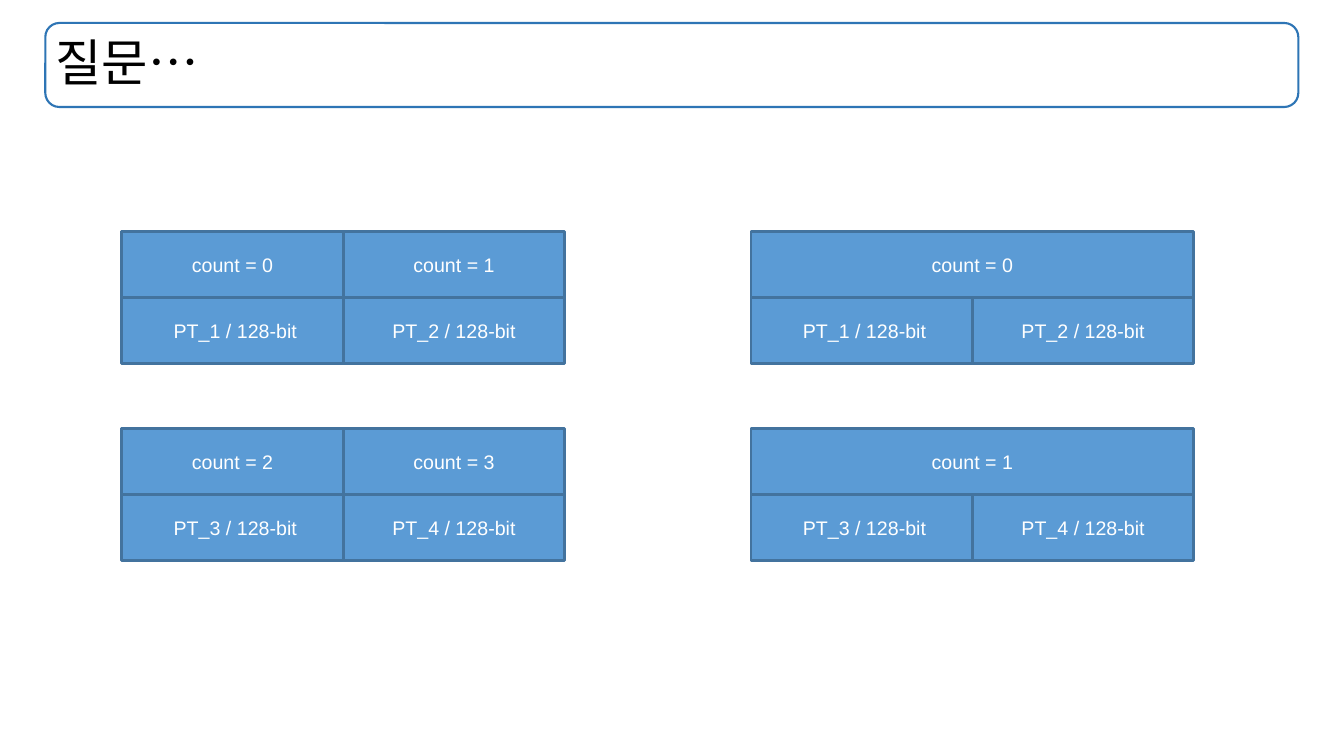
import pptx
import pptx.util
import pptx.dml.color
import pptx.enum.shapes
import pptx.enum.text

Pt = pptx.util.Pt
Shape = pptx.enum.shapes.MSO_SHAPE
Align = pptx.enum.text.PP_ALIGN

COLORS = {
    "title_line": "2E75B5",
    "title_text": "000000",
    "cell_fill": "5B9BD5",
    "cell_line": "43739E",
    "cell_text": "FFFFFF",
}
FONT = "Arial"
BLOCK_WIDTH, BLOCK_HEIGHT = 316.4, 94.4
BLOCK_LEFTS = (87, 536.4)
BLOCK_TOPS = (165.4, 306)


def rgb(name):
    return pptx.dml.color.RGBColor.from_string(COLORS[name])


def add_box(slide, kind, left, top, width, height, line, line_width, fill=None):
    shape = slide.shapes.add_shape(kind, Pt(left), Pt(top), Pt(width), Pt(height))
    shape.shadow.inherit = False
    if fill:
        shape.fill.solid()
        shape.fill.fore_color.rgb = rgb(fill)
    else:
        shape.fill.background()
    shape.line.color.rgb = rgb(line)
    shape.line.width = Pt(line_width)
    return shape


def write_text(shape, text, size, color, align=Align.CENTER, left_inset=7.2, spacing=1.0):
    frame = shape.text_frame
    frame.word_wrap = True
    frame.vertical_anchor = pptx.enum.text.MSO_ANCHOR.MIDDLE
    frame.margin_left = Pt(left_inset)
    paragraph = frame.paragraphs[0]
    paragraph.alignment = align
    paragraph.line_spacing = spacing
    run = paragraph.add_run()
    run.text = text
    run.font.name = FONT
    run.font.size = Pt(size)
    run.font.color.rgb = rgb(color)


def add_title(slide, text, left, top, width, height):
    shape = add_box(slide, Shape.ROUNDED_RECTANGLE, left, top, width, height, "title_line", 1.5)
    shape.adjustments[0] = 0.167
    write_text(shape, text, size=36, color="title_text", align=Align.LEFT,
               left_inset=4.3, spacing=0.9)


def add_counter_block(slide, counts, first_block, left, top, width, height):
    """Draw a row of counters above the two plaintext blocks they cover."""
    plaintexts = [f"PT_{first_block + offset} / 128-bit" for offset in range(2)]
    rows = ([f"count = {count}" for count in counts], plaintexts)
    row_height = height / len(rows)
    for row, labels in enumerate(rows):
        cell_width = width / len(labels)
        for column, label in enumerate(labels):
            cell = add_box(slide, Shape.RECTANGLE, left + column * cell_width,
                           top + row * row_height, cell_width, row_height,
                           "cell_line", 2, fill="cell_fill")
            nudged = labels is plaintexts and column == 0
            write_text(cell, label, size=14, color="cell_text",
                       left_inset=11.1 if nudged else 7.2)


def main():
    presentation = pptx.Presentation()
    presentation.slide_width, presentation.slide_height = Pt(960), Pt(540)
    slide = presentation.slides.add_slide(presentation.slide_layouts[6])
    add_title(slide, "질문…", 32.4, 16.4, 895, 60)
    for index, top in enumerate(BLOCK_TOPS):
        count_sets = ((2 * index, 2 * index + 1), (index,))
        for left, counts in zip(BLOCK_LEFTS, count_sets):
            add_counter_block(slide, counts, 2 * index + 1, left, top,
                              BLOCK_WIDTH, BLOCK_HEIGHT)
    presentation.save("out.pptx")


if __name__ == "__main__":
    main()
